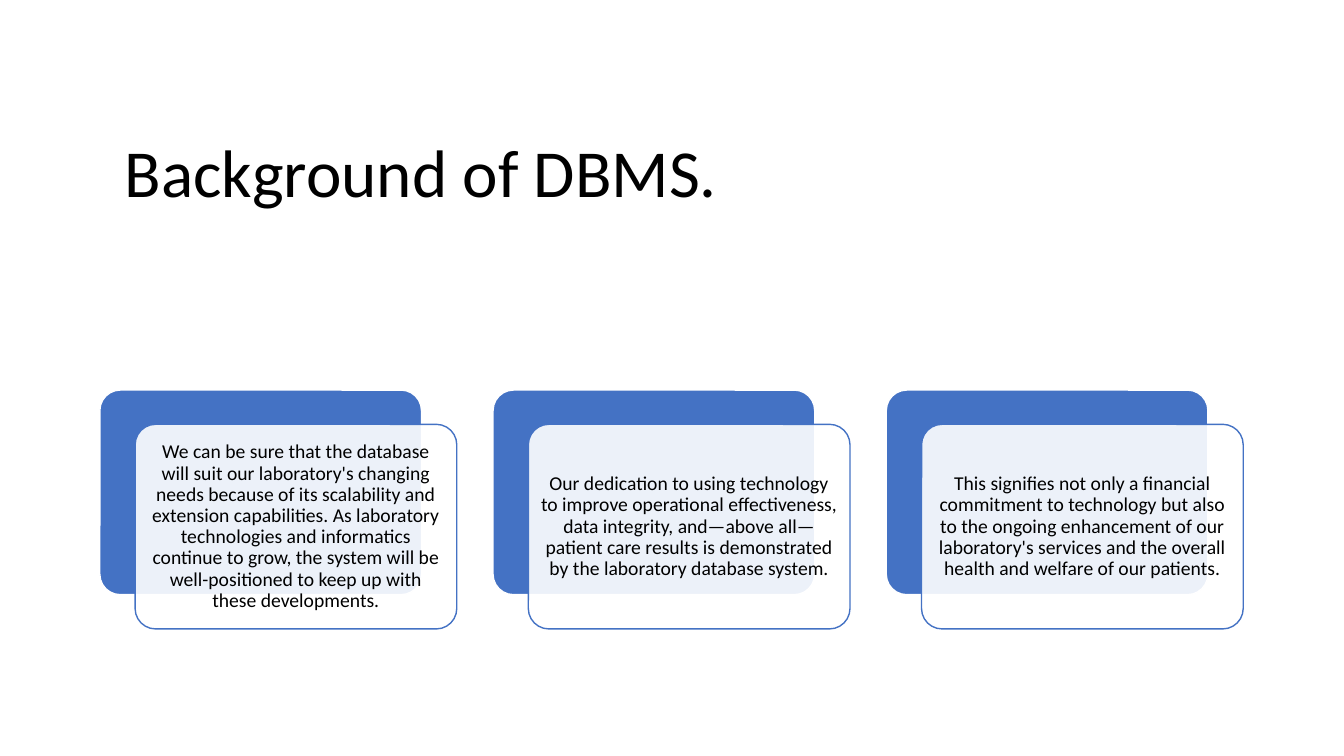
from lxml.etree import SubElement
from pptx import Presentation
from pptx.dml.color import RGBColor
from pptx.enum.shapes import MSO_SHAPE
from pptx.enum.text import MSO_ANCHOR, PP_ALIGN
from pptx.oxml.ns import qn
from pptx.util import Emu, Pt

PX = 9144
COLORS = {"blue": "4472C4", "white": "FFFFFF", "black": "000000"}
CARDS = [
    "We can be sure that the database will suit our laboratory's changing needs because of its "
    "scalability and extension capabilities. As laboratory technologies and informatics continue "
    "to grow, the system will be well-positioned to keep up with these developments.",
    "Our dedication to using technology to improve operational effectiveness, data integrity, "
    "and—above all—patient care results is demonstrated by the laboratory database system.",
    "This signifies not only a financial commitment to technology but also to the ongoing "
    "enhancement of our laboratory's services and the overall health and welfare of our patients.",
]


def px(n):
    return Emu(n * PX)


def style(item, values):
    for key, value in values.items():
        setattr(item, key, value)


class Deck:
    """Holds the style and the current slide."""

    def __init__(self, width, height):
        self.show = Presentation()
        style(self.show, {"slide_width": px(width), "slide_height": px(height)})
        self.slide = self.show.slides.add_slide(self.show.slide_layouts[6])
        self.font = "Calibri"

    def color(self, name):
        return RGBColor.from_string(COLORS[name])

    def panel(self, box, fill, line, alpha=100):
        shape = self.slide.shapes.add_shape(MSO_SHAPE.ROUNDED_RECTANGLE, *map(px, box))
        shape.shadow.inherit = False
        shape.adjustments[0] = 0.1
        shape.fill.solid()
        shape.fill.fore_color.rgb = self.color(fill)
        shape.line.color.rgb = self.color(line)
        shape.line.width = Pt(1)
        if alpha < 100:
            tint = shape.fill._xPr.find(qn("a:solidFill"))[0]
            SubElement(tint, qn("a:alpha"), val=str(alpha * 1000))

    def text(self, box, words, size, align, pad):
        frame = self.slide.shapes.add_textbox(*map(px, box)).text_frame
        style(frame, {"word_wrap": True, "vertical_anchor": MSO_ANCHOR.MIDDLE, **pad})
        para = frame.paragraphs[0]
        style(para, {"text": words, "alignment": align, "line_spacing": 0.9})
        style(para.runs[0].font, {"name": self.font, "size": Pt(size)})
        para.runs[0].font.color.rgb = self.color("black")
        return para

    def card(self, left, top, words):
        self.panel((left, top, 319, 203), "blue", "white")
        self.panel((left + 35, top + 34, 319, 203), "white", "blue", 90)
        sides = ("left", "right", "top", "bottom")
        pad = {f"margin_{side}": px(6) for side in sides}
        para = self.text((left + 41, top + 40, 307, 191), words, 14, PP_ALIGN.CENTER, pad)
        para.space_after = Pt(4.9)


def main():
    deck = Deck(1333, 750)
    deck.text((114, 89, 1113, 170), "Background of DBMS.", 48, PP_ALIGN.LEFT, {})
    for i, words in enumerate(CARDS):
        deck.card(99 + 390 * i, 387, words)
    deck.show.save("out.pptx")


if __name__ == "__main__":
    main()
